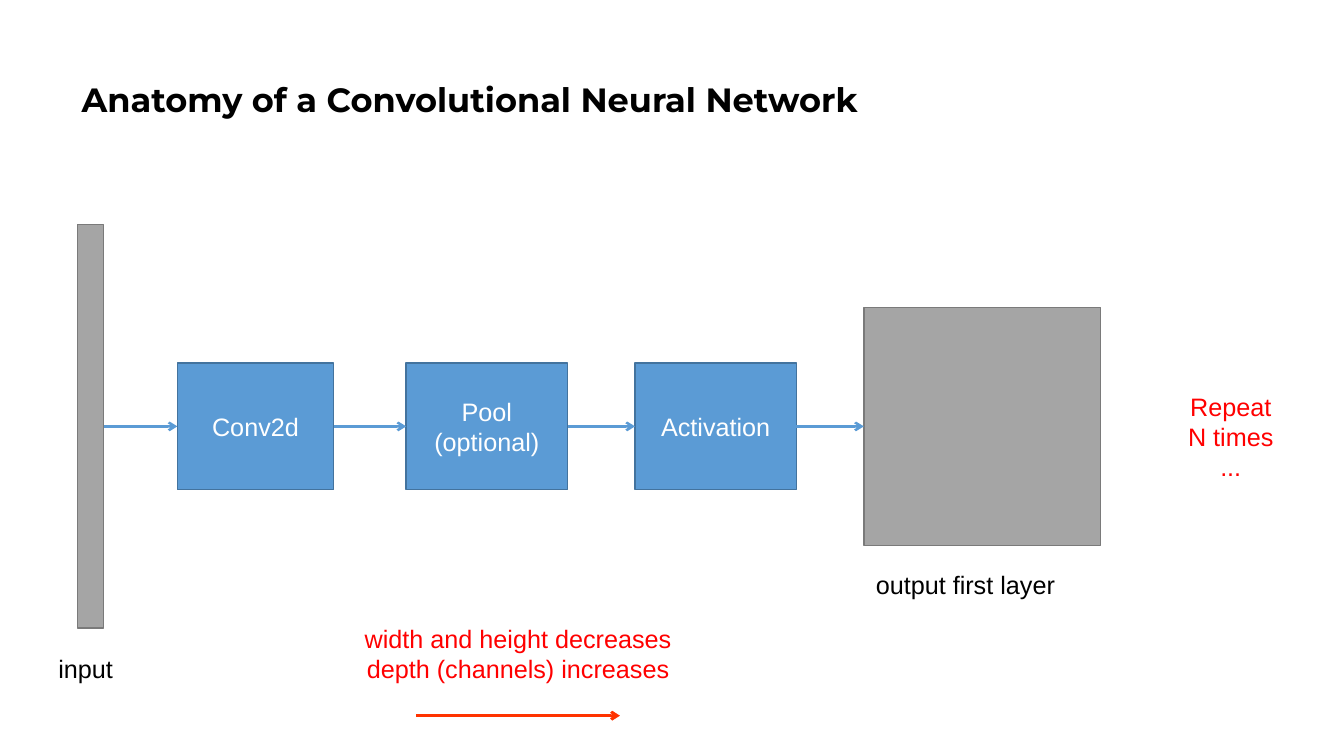
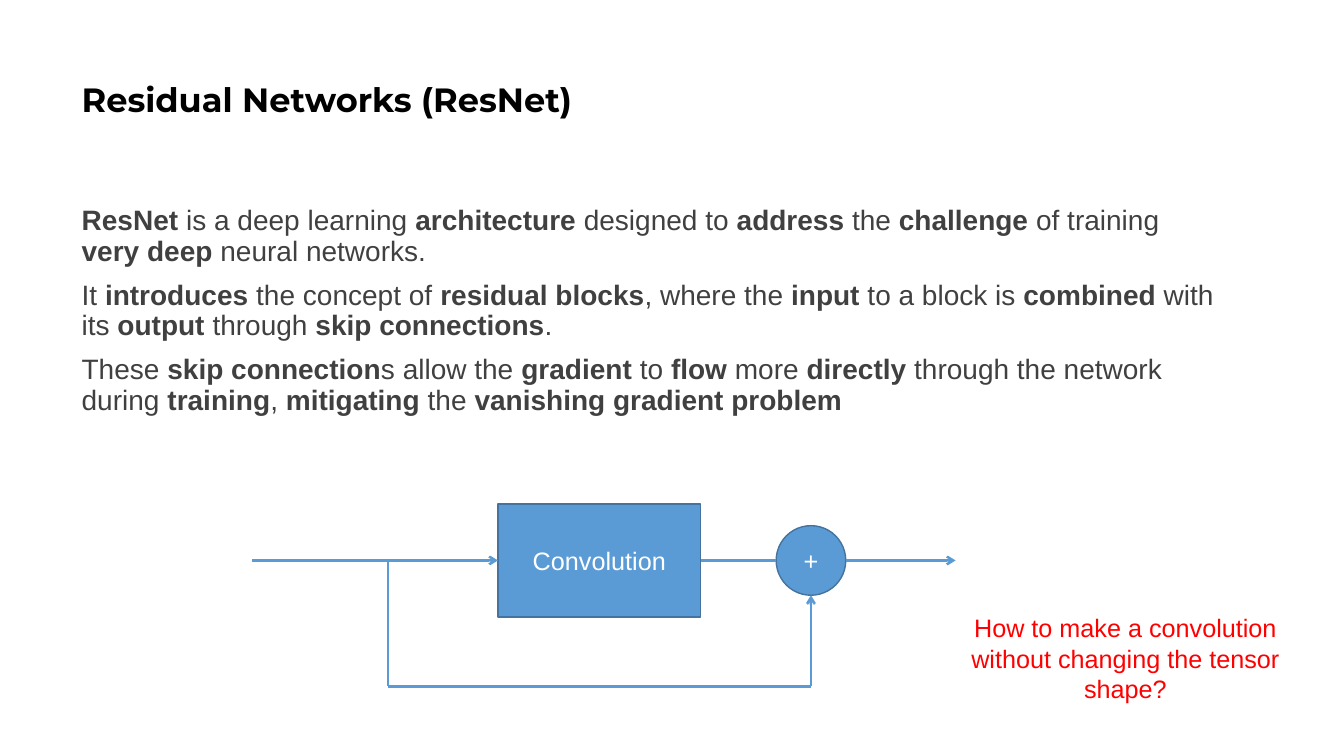
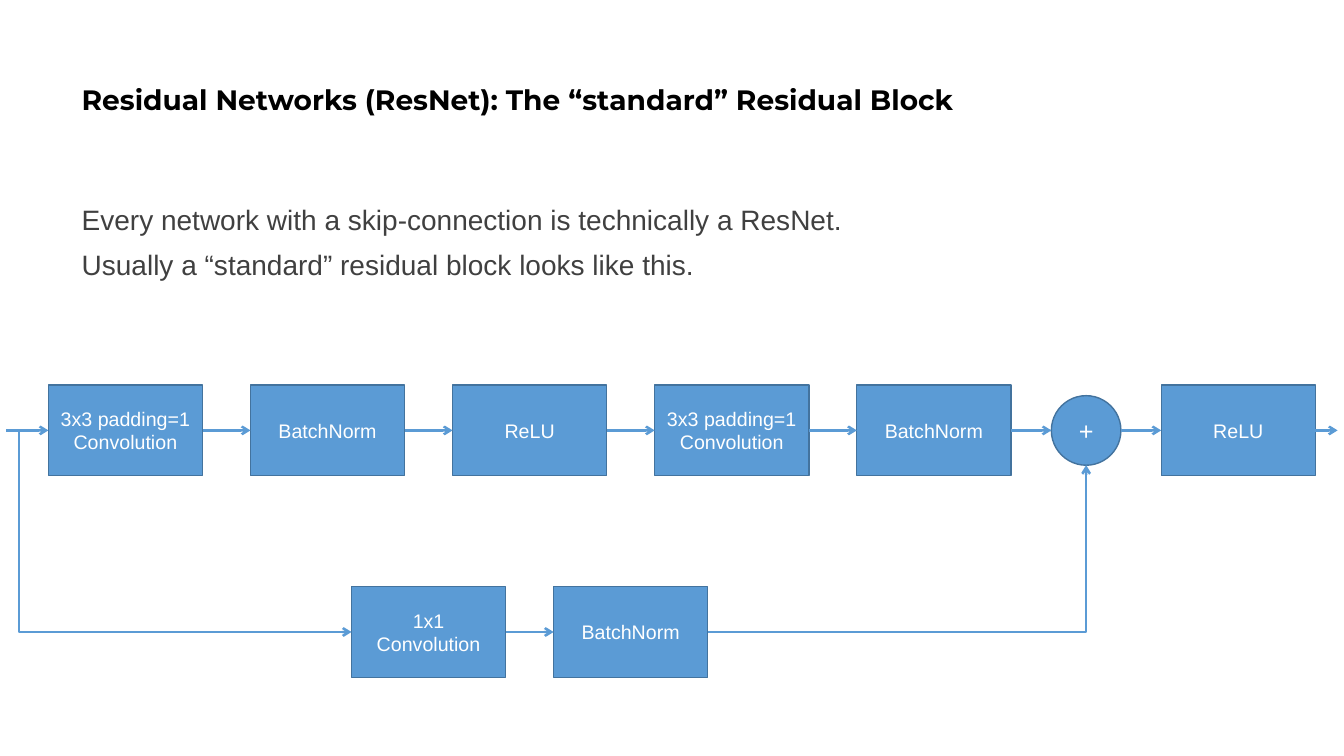
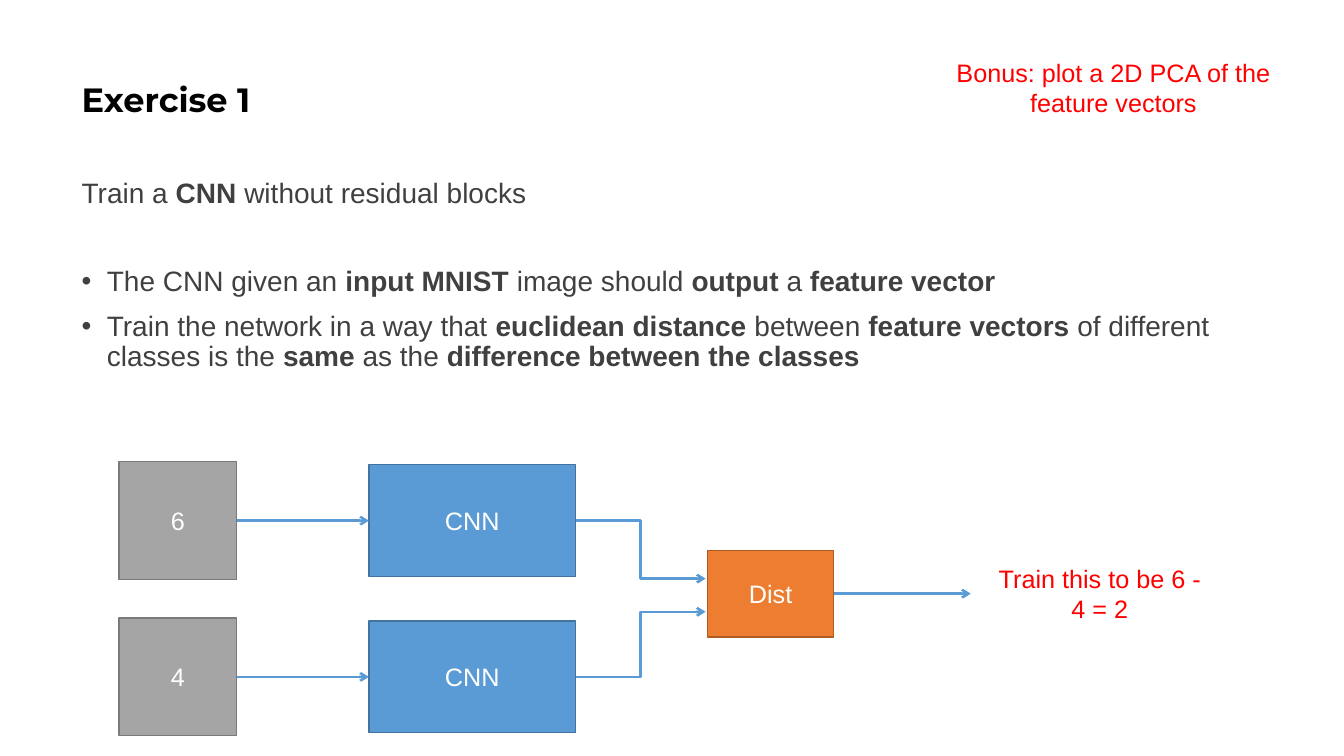
import pptx
import pptx.dml.color
import pptx.enum.shapes
import pptx.enum.text
import pptx.oxml
import pptx.oxml.ns
import pptx.util

RGBColor = pptx.dml.color.RGBColor
Shape = pptx.enum.shapes.MSO_SHAPE
Connector = pptx.enum.shapes.MSO_CONNECTOR
Align = pptx.enum.text.PP_ALIGN
Anchor = pptx.enum.text.MSO_ANCHOR

# Palette
BLACK = RGBColor(0x00, 0x00, 0x00)
WHITE = RGBColor(0xFF, 0xFF, 0xFF)
DARK = RGBColor(0x40, 0x40, 0x40)
RED = RGBColor(0xFF, 0x00, 0x00)
ORANGE_RED = RGBColor(0xFF, 0x33, 0x00)
BLUE = RGBColor(0x5B, 0x9B, 0xD5)
GREY = RGBColor(0xA5, 0xA5, 0xA5)
ORANGE = RGBColor(0xED, 0x7D, 0x31)
OUTLINES = {
    BLUE: RGBColor(0x43, 0x73, 0x9E),
    GREY: RGBColor(0x7A, 0x7A, 0x7A),
    ORANGE: RGBColor(0xAF, 0x5C, 0x24),
}

# Grid: one column or row is a tenth of an inch
COLUMNS, ROWS = 133.33, 75
CELL = pptx.util.Inches(0.1)
TOP, LEFT, BOTTOM, RIGHT = range(4)
CIRCLE_SIZE = 6.9


def cells(*counts):
    return [round(count * CELL) for count in counts]


def element(tag, **attributes):
    node = pptx.oxml.parse_xml(f"<{tag} {pptx.oxml.ns.nsdecls('a')}/>")
    for name, value in attributes.items():
        node.set(name, value)
    return node


class Deck:
    """Holds the shared style and the slide being drawn."""

    def __init__(self):
        self.file = pptx.Presentation()
        self.file.slide_width, self.file.slide_height = cells(COLUMNS, ROWS)
        self.page = None

    def style(self, para, size, color, align, font="Arial", bold=None):
        para.alignment = align
        for span in para.runs:
            span.font.name = font
            span.font.size = pptx.util.Pt(size)
            span.font.color.rgb = color
            if bold is not None:
                span.font.bold = bold

    def place(self, box, left, top, width, height):
        box.left, box.top, box.width, box.height = cells(left, top, width, height)

    def new_page(self, title, size=24):
        self.page = self.file.slides.add_slide(self.file.slide_layouts[1])
        box = self.page.shapes.title
        self.place(box, 7.1, 2.8, 115, 14.5)
        box.text_frame.text = title
        box.text_frame.vertical_anchor = Anchor.MIDDLE
        para = box.text_frame.paragraphs[0]
        para.line_spacing = 0.9
        self.style(para, size, BLACK, Align.LEFT, "Montserrat", True)

    def no_body(self):
        body = self.page.placeholders[1]._element
        body.getparent().remove(body)

    def body(self, top, height, lines, bullets_from=None):
        """Fill the body; ** switches bold on and off inside a line."""
        box = self.page.placeholders[1]
        self.place(box, 7.1, top, 115, height)
        frame = box.text_frame
        frame.auto_size = pptx.enum.text.MSO_AUTO_SIZE.NONE
        for index, line in enumerate(lines):
            para = frame.paragraphs[0] if index == 0 else frame.add_paragraph()
            for part, words in enumerate(line.split("**")):
                if words:
                    span = para.add_run()
                    span.text = words
                    span.font.bold = part % 2 == 1
            self.style(para, 20, DARK, Align.LEFT)
            para.line_spacing = 0.9
            # The first bullet stands one line apart from the text above
            para.space_before = pptx.util.Pt(41.5 if index == bullets_from else 10)
            self.bullet(para, bullets_from is not None and index >= bullets_from)

    def bullet(self, para, shown):
        properties = para._p.get_or_add_pPr()
        indent = pptx.util.Inches(0.25) if shown else 0
        properties.set("marL", str(indent))
        properties.set("indent", str(-indent))
        if shown:
            properties.append(element("a:buFont", typeface="Arial"))
            properties.append(element("a:buChar", char="•"))
        else:
            properties.append(element("a:buNone"))

    def label(self, left, top, width, height, text, color=RED, align=Align.CENTER):
        box = self.page.shapes.add_textbox(*cells(left, top, width, height))
        box.text_frame.word_wrap = True
        box.text_frame.text = text
        for para in box.text_frame.paragraphs:
            self.style(para, 18, color, align)

    def box(self, left, top, width, height, text="", fill=BLUE, size=18,
            kind=Shape.RECTANGLE):
        box = self.page.shapes.add_shape(kind, *cells(left, top, width, height))
        box.shadow.inherit = False
        box.fill.solid()
        box.fill.fore_color.rgb = fill
        box.line.color.rgb = OUTLINES[fill]
        box.line.width = pptx.util.Pt(1)
        if text:
            box.text_frame.text = text
            box.text_frame.vertical_anchor = Anchor.MIDDLE
            for para in box.text_frame.paragraphs:
                self.style(para, size, WHITE, Align.CENTER)
        return box

    def plus(self, center, middle):
        half = CIRCLE_SIZE / 2
        return self.box(center - half, middle - half, CIRCLE_SIZE, CIRCLE_SIZE,
                        "+", kind=Shape.OVAL)

    def line(self, start, end, head=True, color=BLUE, width=1.75, kind=Connector.STRAIGHT):
        """Run from a point or a shape's right side to a point or a left side."""
        points = []
        for stop, share in ((start, 1), (end, 0)):
            if isinstance(stop, tuple):
                points += cells(*stop)
            else:
                points += [round(stop.left + share * stop.width),
                           round(stop.top + stop.height / 2)]
        line = self.page.shapes.add_connector(kind, *points)
        for stop, join, side in ((start, line.begin_connect, RIGHT),
                                 (end, line.end_connect, LEFT)):
            straight_box = kind == Connector.STRAIGHT and not isinstance(stop, tuple)
            if straight_box and stop.auto_shape_type == Shape.RECTANGLE:
                join(stop, side)
        line.line.color.rgb = color
        line.line.width = pptx.util.Pt(width)
        if head:
            line.line._get_or_add_ln().append(element("a:tailEnd", type="arrow"))
        line._element.spPr.append(element("a:effectLst"))
        return line

    def elbow(self, start, end, preset="bentConnector3", bend=None):
        line = self.line(start, end, kind=Connector.ELBOW)
        geometry = line._element.spPr.find(pptx.oxml.ns.qn("a:prstGeom"))
        geometry.set("prst", preset)
        if bend is not None:
            guides = geometry.find(pptx.oxml.ns.qn("a:avLst"))
            guides.append(element("a:gd", name="adj1", fmla=f"val {bend}"))

    def chain(self, *stops):
        for start, end in zip(stops, stops[1:]):
            self.line(start, end)


def anatomy(deck):
    deck.new_page("Anatomy of a Convolutional Neural Network")
    deck.no_body()
    # Layers from input to output
    deck.chain(
        deck.box(7.7, 22.3, 2.6, 40, fill=GREY),
        deck.box(17.6, 36, 15.5, 12.6, "Conv2d"),
        deck.box(40.3, 36, 16, 12.6, "Pool\n(optional)"),
        deck.box(63, 36, 16, 12.6, "Activation"),
        deck.box(85.7, 30.5, 23.5, 23.6, fill=GREY),
    )
    # Captions
    deck.label(4.8, 64.3, 8.4, 4, "input", BLACK, Align.LEFT)
    deck.label(85.9, 56, 23, 4, "output first layer", BLACK, Align.LEFT)
    deck.label(116.3, 38.3, 11.6, 10.1, "Repeat\nN times\n...")
    deck.label(33.1, 61.3, 36.6, 7.1,
               "width and height decreases\ndepth (channels) increases")
    deck.line((41.3, 71), (61.5, 71), color=ORANGE_RED, width=2)


def residual_networks(deck):
    deck.new_page("Residual Networks (ResNet)")
    deck.body(20, 22.2, [
        "**ResNet **is a deep learning **architecture **designed to **address **the "
        "**challenge **of training **very deep** neural networks.",
        "It **introduces **the concept of **residual blocks**, where the **input **to a "
        "block is **combined **with its **output **through **skip connections**.",
        "These **skip connection**s allow the **gradient **to **flow **more **directly "
        "**through the network during **training**, **mitigating **the **vanishing "
        "gradient problem**",
    ])
    # Main path
    middle, center, branch, floor = 55.6, 80.45, 38.5, 68.1
    convolution = deck.box(49.4, 50, 20.1, 11.2, "Convolution")
    plus = deck.plus(center, middle)
    deck.line((25, middle), convolution)
    deck.line(convolution, plus, head=False)
    deck.line(plus, (94.8, middle))
    # Skip connection
    deck.line((branch, middle), (branch, floor), head=False)
    deck.line((branch, floor), (center, floor), head=False)
    deck.line((center, floor), (center, middle + CIRCLE_SIZE / 2))
    deck.label(94.8, 60.3, 33.7, 13.1,
               "How to make a convolution\nwithout changing the tensor shape?")


def residual_block(deck):
    deck.new_page("Residual Networks (ResNet): The “standard” Residual Block", 20)
    deck.body(20, 9.4, [
        "Every network with a skip-connection is technically a ResNet.",
        "Usually a “standard” residual block looks like this.",
    ])
    first, pitch, width, height = 4.8, 20.05, 15.3, 9
    middle, lower, center = 42.7, 62.7, 107.75

    def step(left, center_row, text):
        return deck.box(left, center_row - height / 2, width, height, text, size=14)

    # Main path
    names = ["3x3 padding=1\nConvolution", "BatchNorm", "ReLU",
             "3x3 padding=1\nConvolution", "BatchNorm"]
    steps = [step(first + pitch * index, middle, name) for index, name in enumerate(names)]
    plus = deck.plus(center, middle)
    last = step(115.2, middle, "ReLU")
    deck.chain((0.6, middle), *steps, plus, last, (132.7, middle))
    # Skip path, half a step to the right of the main one
    convolution = step(first + pitch * 1.5, lower, "1x1\nConvolution")
    norm = step(first + pitch * 2.5, lower, "BatchNorm")
    deck.elbow((1.9, middle), convolution, bend=-100)
    deck.line(convolution, norm)
    deck.elbow(norm, (center, middle + CIRCLE_SIZE / 2), "bentConnector2")


def exercise(deck):
    deck.new_page("Exercise 1")
    deck.body(17.3, 24.7, [
        "Train a **CNN **without residual blocks",
        "The CNN given an **input MNIST **image should **output **a **feature vector**",
        "Train the network in a way that **euclidean distance** between **feature "
        "vectors** of different classes is the **same **as the **difference between "
        "the classes**",
    ], bullets_from=1)
    # Two digits through the same network
    distance = deck.box(70.2, 54.6, 12.5, 8.6, "Dist", ORANGE)
    for digit, middle, target in (("6", 51.65, 57.4), ("4", 67.15, 60.7)):
        digit_box = deck.box(11.8, middle - 5.85, 11.7, 11.7, digit, GREY)
        network = deck.box(36.6, middle - 5.55, 20.5, 11.1, "CNN")
        deck.line(digit_box, network)
        deck.elbow(network, (70, target))
    deck.line(distance, (96.3, 58.9))
    # Remarks
    deck.label(97.9, 55.4, 22.4, 7.1, "Train this to be 6 - 4 = 2")
    deck.label(93.2, 5.2, 34.5, 7.1, "Bonus: plot a 2D PCA of the feature vectors")


def main():
    deck = Deck()
    for draw in (anatomy, residual_networks, residual_block, exercise):
        draw(deck)
    deck.file.save("out.pptx")


if __name__ == "__main__":
    main()
